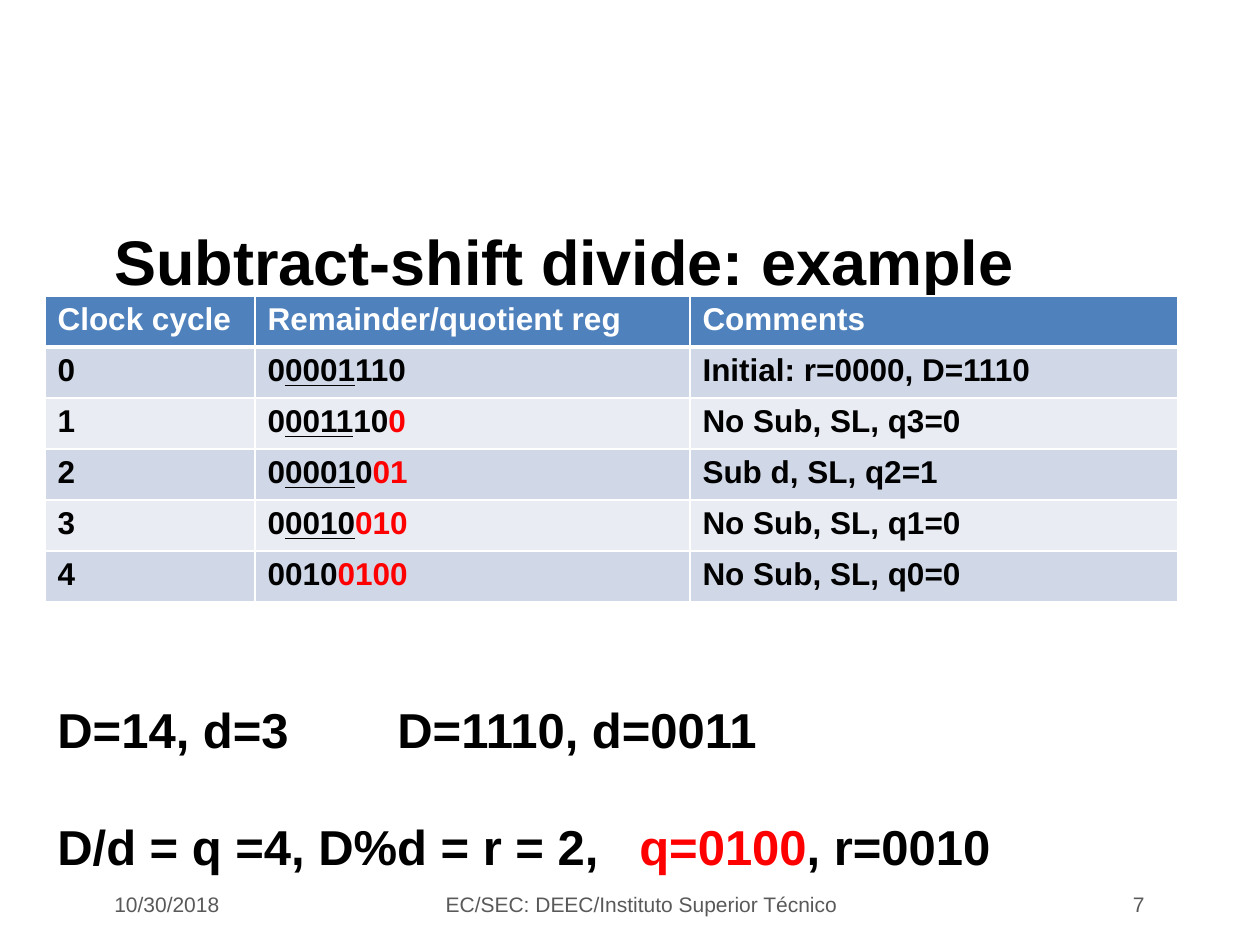
from lxml import etree
from pptx import Presentation
from pptx import util as u
from pptx.dml.color import RGBColor
from pptx.enum import text
from pptx.oxml.ns import qn

PX = 914400 // 126
FONT = "Arial"
BLACK = RGBColor(0, 0, 0)
WHITE = RGBColor(255, 255, 255)
RED = RGBColor(255, 0, 0)
GREY = RGBColor(0x59, 0x59, 0x59)
HEADER = RGBColor(0x4F, 0x81, 0xBD)
BANDS = [RGBColor(0xD0, 0xD8, 0xE7), RGBColor(0xE9, 0xEC, 0xF3)]

# Content
TITLE = "Subtract-shift divide: example"
HEADINGS = ["Clock cycle", "Remainder/quotient reg", "Comments"]
# Register bits: plain start, underlined remainder, rest of dividend, quotient
STEPS = [
    (("0", "0001", "110", ""), "Initial: r=0000, D=1110"),
    (("0", "0011", "10", "0"), "No Sub, SL, q3=0"),
    (("0", "0001", "0", "01"), "Sub d, SL, q2=1"),
    (("0", "0010", "", "010"), "No Sub, SL, q1=0"),
    (("0010", "", "", "0100"), "No Sub, SL, q0=0"),
]
# Runs of each line, and the tab stop it uses
RESULTS = [
    ([("D=14, d=3\tD=1110, d=0011", BLACK)], 340),
    ([("D/d = q =4, D%d = r = 2,\t", BLACK), ("q=0100", RED),
      (", r=0010", BLACK)], 582),
]
FOOTERS = [
    ("10/30/2018", 102, 255, text.PP_ALIGN.LEFT),
    ("EC/SEC: DEEC/Instituto Superior Técnico ", 431, 427, text.PP_ALIGN.CENTER),
    ("7", 905, 252, text.PP_ALIGN.RIGHT),
]
COLUMNS = [210, 435, 488]
ROW = 51
LEFT = 45


def px(n):
    return u.Emu(n * PX)


def add_run(para, words, size, color, bold=True, underline=False):
    span = para.add_run()
    span.text = words
    font = span.font
    font.name, font.size, font.bold = FONT, u.Pt(size), bold
    font.color.rgb = color
    if underline:
        font.underline = True


def add_box(page, x, y, w, h, anchor=text.MSO_ANCHOR.MIDDLE):
    frame = page.shapes.add_textbox(px(x), px(y), px(w), px(h)).text_frame
    frame.word_wrap = True
    frame.vertical_anchor = anchor
    return frame


def add_tab(para, position):
    stops = etree.SubElement(para._p.get_or_add_pPr(), qn("a:tabLst"))
    etree.SubElement(stops, qn("a:tab"), pos=str(px(position)), algn="l")


def style_cell(cell, fill, top, bottom):
    props = cell._tc.get_or_add_tcPr()
    for side, width in (("L", 0.96), ("R", 0.96), ("T", top), ("B", bottom)):
        line = etree.SubElement(props, qn(f"a:ln{side}"), w=str(u.Pt(width)))
        solid = etree.SubElement(line, qn("a:solidFill"))
        etree.SubElement(solid, qn("a:srgbClr"), val=str(WHITE))
    cell.fill.solid()
    cell.fill.fore_color.rgb = fill


def add_steps(page):
    table = page.shapes.add_table(
        len(STEPS) + 1, len(COLUMNS), px(LEFT), px(296),
        px(sum(COLUMNS)), px(ROW * (len(STEPS) + 1))).table
    for column, width in zip(table.columns, COLUMNS):
        column.width = px(width)
    for row in table.rows:
        row.height = px(ROW)

    # Header row
    for c, heading in enumerate(HEADINGS):
        cell = table.cell(0, c)
        style_cell(cell, HEADER, 0.96, 3)
        add_run(cell.text_frame.paragraphs[0], heading, 18, WHITE)

    # One row per clock cycle
    for cycle, (bits, comment) in enumerate(STEPS):
        cells = [table.cell(cycle + 1, c) for c in range(len(COLUMNS))]
        for cell in cells:
            style_cell(cell, BANDS[cycle % 2], 0.96 if cycle else 3, 0.96)
        number, register, note = [c.text_frame.paragraphs[0] for c in cells]
        add_run(number, str(cycle), 18, BLACK)
        for part, digits in enumerate(bits):
            if digits:
                add_run(register, digits, 18, RED if part == 3 else BLACK,
                        underline=part == 1)
        add_run(note, comment, 18, BLACK)


def main():
    deck = Presentation()
    deck.slide_width, deck.slide_height = px(1260), px(945)
    page = deck.slides.add_slide(deck.slide_layouts[6])

    # Title
    title = add_box(page, 102, 200, 1055, 120)
    add_run(title.paragraphs[0], TITLE, 36, BLACK)

    add_steps(page)

    # Footer
    for words, x, width, align in FOOTERS:
        para = add_box(page, x, 883, width, 43).paragraphs[0]
        para.alignment = align
        add_run(para, words, 12, GREY, bold=False)

    # Worked result
    frame = add_box(page, LEFT, 693, 968, 189, text.MSO_ANCHOR.TOP)
    for i, (runs, stop) in enumerate(RESULTS):
        para = frame.add_paragraph() if i else frame.paragraphs[0]
        add_tab(para, stop)
        para.line_spacing = u.Pt(33.6)
        if i:
            para.space_before = u.Pt(33.6)
        for words, color in runs:
            add_run(para, words, 28, color)

    deck.save("out.pptx")


if __name__ == "__main__":
    main()
